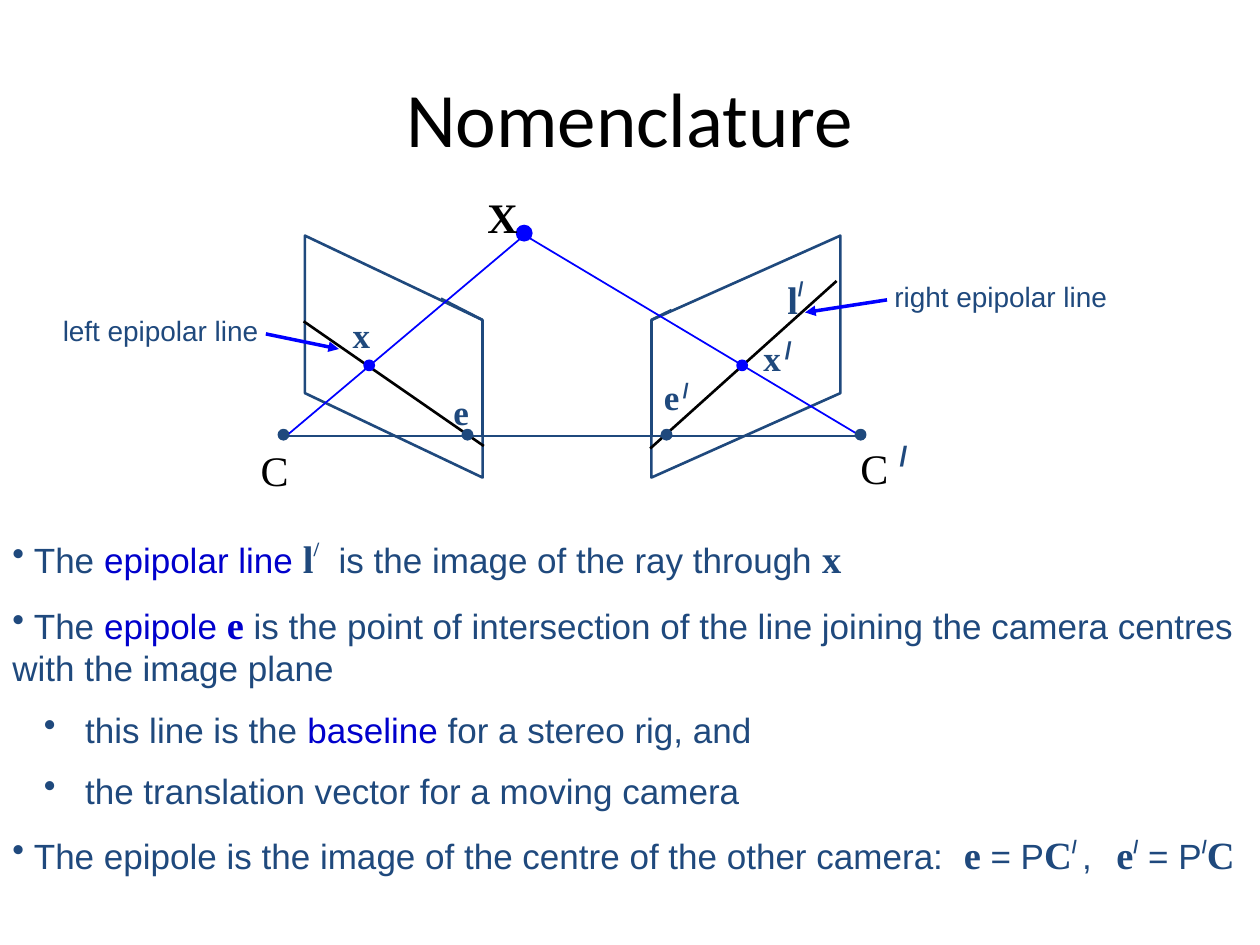
import pptx
import pptx.dml.color
import pptx.enum.shapes
import pptx.enum.text
import pptx.oxml
import pptx.util
from pptx.util import Inches

NAVY, BLUE, DARK_BLUE, BLACK = "1F497D", "0000FF", "0000CC", "000000"
SERIF, SANS = "Times New Roman", "Arial"
DRAWING_NS = "http://schemas.openxmlformats.org/drawingml/2006/main"


def colour(value):
    return pptx.dml.color.RGBColor.from_string(value)


def add_runs(para, runs):
    """Add runs given as (text, size, font, colour, bold, raised)."""
    for text, size, font, ink, bold, raised in runs:
        span = para.add_run()
        span.text = text
        span.font.size = pptx.util.Pt(size)
        span.font.name = font
        span.font.bold = bold
        span.font.color.rgb = colour(ink)
        if raised:
            span.font._element.set("baseline", "50000")


deck = pptx.Presentation()
deck.slide_width, deck.slide_height = Inches(10), Inches(7.5)
page = deck.slides.add_slide(deck.slide_layouts[6])
shapes = page.shapes

# Title
title = shapes.add_textbox(Inches(0.5), Inches(0.3), Inches(9), Inches(1.25))
title.text_frame.word_wrap = True
title.text_frame.vertical_anchor = pptx.enum.text.MSO_ANCHOR.MIDDLE
para = title.text_frame.paragraphs[0]
para.alignment = pptx.enum.text.PP_ALIGN.CENTER
add_runs(para, [("Nomenclature", 44, "Calibri", BLACK, False, False)])

# Image planes
planes = [
    [(2.42, 1.87), (2.42, 3.12), (3.83, 3.79), (3.83, 2.54)],
    [(6.67, 1.87), (6.67, 3.12), (5.17, 3.79), (5.17, 2.54)],
]
for corners in planes:
    points = [(Inches(x), Inches(y)) for x, y in corners]
    builder = shapes.build_freeform(*points[0])
    builder.add_line_segments(points[1:], close=True)
    plane = builder.convert_to_shape()
    plane.shadow.inherit = False
    plane.fill.background()
    plane.line.color.rgb = colour(NAVY)
    plane.line.width = pptx.util.Pt(1.5)

# Epipolar lines, plane edges, baseline, rays and pointers: ends, colour, width, arrow
lines = [
    (5.16, 3.56, 6.64, 2.23, BLACK, 1.5, False),
    (2.41, 2.55, 3.84, 3.54, BLACK, 1.5, False),
    (5.17, 2.54, 5.17, 3.46, NAVY, 1.5, False),
    (3.83, 2.54, 3.83, 3.46, NAVY, 1.5, False),
    (3.83, 2.54, 3.5, 2.37, NAVY, 1.5, False),
    (5.33, 2.46, 5.17, 2.54, NAVY, 1.5, False),
    (2.25, 3.46, 6.83, 3.46, NAVY, 1, False),
    (4.17, 1.86, 2.26, 3.47, BLUE, 1, False),
    (4.17, 1.87, 6.83, 3.46, BLUE, 1, False),
    (2.11, 2.65, 2.69, 2.77, BLUE, 2, True),
    (7.04, 2.38, 6.39, 2.48, BLUE, 2, True),
]
for x1, y1, x2, y2, ink, width, arrow in lines:
    line = shapes.add_connector(
        pptx.enum.shapes.MSO_CONNECTOR.STRAIGHT,
        Inches(x1), Inches(y1), Inches(x2), Inches(y2),
    )
    line.line.color.rgb = colour(ink)
    line.line.width = pptx.util.Pt(width)
    if arrow:
        line.line._get_or_add_ln().append(
            pptx.oxml.parse_xml(f'<a:tailEnd xmlns:a="{DRAWING_NS}" type="triangle"/>')
        )
    line._element.spPr.append(
        pptx.oxml.parse_xml(f'<a:effectLst xmlns:a="{DRAWING_NS}"/>')
    )

# Camera centres, epipoles, image points and the scene point
dots = [
    (2.21, 3.41, 0.08, NAVY),
    (6.79, 3.41, 0.08, NAVY),
    (5.25, 3.41, 0.08, NAVY),
    (3.67, 3.41, 0.08, NAVY),
    (2.89, 2.86, 0.08, BLUE),
    (5.85, 2.86, 0.08, BLUE),
    (4.1, 1.79, 0.12, BLUE),
]
for left, top, size, ink in dots:
    dot = shapes.add_shape(
        pptx.enum.shapes.MSO_SHAPE.OVAL,
        Inches(left), Inches(top), Inches(size), Inches(size),
    )
    dot.shadow.inherit = False
    dot.fill.solid()
    dot.fill.fore_color.rgb = colour(ink)
    dot.line.color.rgb = colour(ink)
    dot.line.width = pptx.util.Pt(1)

# Diagram labels
x_label = [("x", 20, SERIF, NAVY, True, False)]
e_label = [("e", 20, SERIF, NAVY, True, False)]
c_label = [("C", 24, SERIF, BLACK, False, False)]
labels = [
    (2.7, 2.44, 0.33, 0.43, x_label),
    (5.96, 2.62, 0.33, 0.43, x_label),
    (3.5, 3.05, 0.33, 0.43, e_label),
    (5.17, 2.93, 0.33, 0.43, e_label),
    (1.97, 3.48, 0.49, 0.5, c_label),
    (6.73, 3.46, 0.49, 0.5, c_label),
    (3.77, 1.47, 0.4, 0.5, [("X", 24, SERIF, BLACK, True, False)]),
    (6.15, 2.14, 0.36, 0.47, [("l", 22, SERIF, NAVY, True, False),
                              ("/", 20, SANS, NAVY, True, True)]),
    (0.4, 2.44, 1.77, 0.37, [("left epipolar line", 16, SANS, NAVY, False, False)]),
    (7, 2.17, 2.57, 0.37, [("right epipolar line", 16, SANS, NAVY, False, False)]),
]
primes = [(6.1, 2.61, 0.33, 14), (7.01, 3.43, 0.37, 16), (5.29, 2.95, 0.3, 12)]
for left, top, height, size in primes:
    labels.append((left, top, 0.58, height, [(" ", 8, SANS, NAVY, True, False),
                                             ("/", size, SANS, NAVY, True, False)]))
for left, top, width, height, runs in labels:
    box = shapes.add_textbox(Inches(left), Inches(top), Inches(width), Inches(height))
    box.text_frame.word_wrap = True
    add_runs(box.text_frame.paragraphs[0], runs)

# Definitions: run styles are (size, font, colour, bold, raised)
plain = (20, SANS, NAVY, False, False)
term = (20, SANS, DARK_BLUE, False, False)
symbol = (22, SERIF, NAVY, True, False)
term_symbol = (22, SERIF, DARK_BLUE, True, False)
serif_prime = (20, SERIF, NAVY, True, True)
prime = (18, SANS, NAVY, False, True)
bold_prime = (18, SANS, NAVY, True, True)
definitions = [
    (0, [(" The ", plain), ("epipolar line ", term), ("l", symbol), ("/", serif_prime),
         ("  is the image of the ray through ", plain), ("x", symbol)]),
    (0, [(" The ", plain), ("epipole ", term), ("e", term_symbol),
         (" is the point of intersection of the line joining the camera centres"
          " with the image plane", plain)]),
    (1, [(" this line is the ", plain), ("baseline", term),
         (" for a stereo rig, and", plain)]),
    (1, [(" the translation vector for a moving camera", plain)]),
    (0, [(" The epipole is the image of the centre of the other camera:  ", plain),
         ("e", symbol), (" = P", plain), ("C", symbol), ("/ ", bold_prime),
         (",  ", plain), (" ", bold_prime), ("e", symbol), ("/", bold_prime),
         (" = P", plain), ("/", bold_prime), ("C", symbol)]),
]
body = shapes.add_textbox(Inches(0), Inches(4.2), Inches(10), Inches(2.9))
body.text_frame.word_wrap = True
for number, (level, runs) in enumerate(definitions):
    para = body.text_frame.paragraphs[0] if number == 0 else body.text_frame.add_paragraph()
    para.level = level
    para.space_before = pptx.util.Pt(11 if number else 0)
    properties = para._p.get_or_add_pPr()
    properties.set("marL", str(Inches(0.5 * level)))
    properties.set("indent", str(Inches(-0.25 * level)))
    properties.append(pptx.oxml.parse_xml(f'<a:buChar xmlns:a="{DRAWING_NS}" char="•"/>'))
    add_runs(para, [(text, *style) for text, style in runs])

deck.save("out.pptx")
